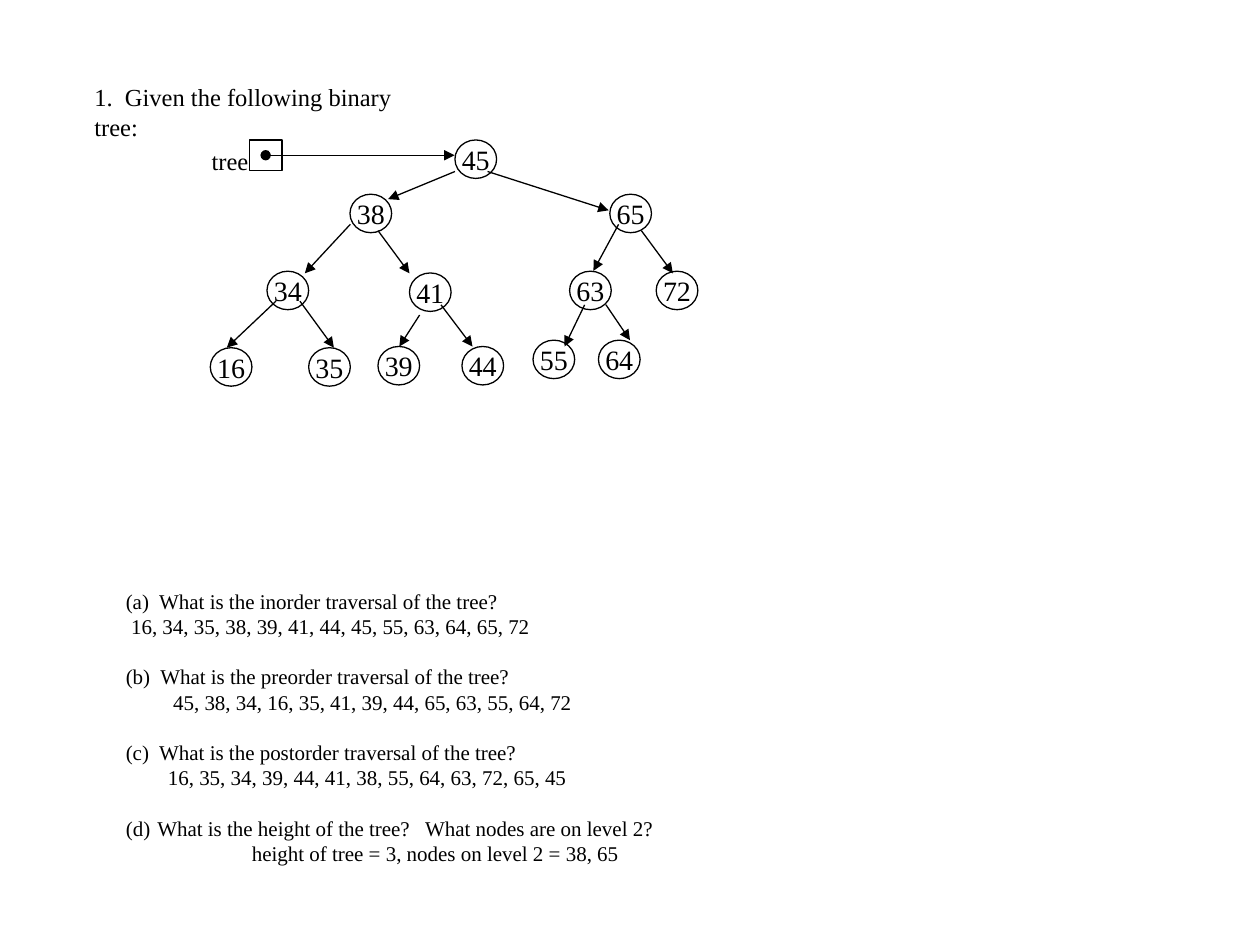
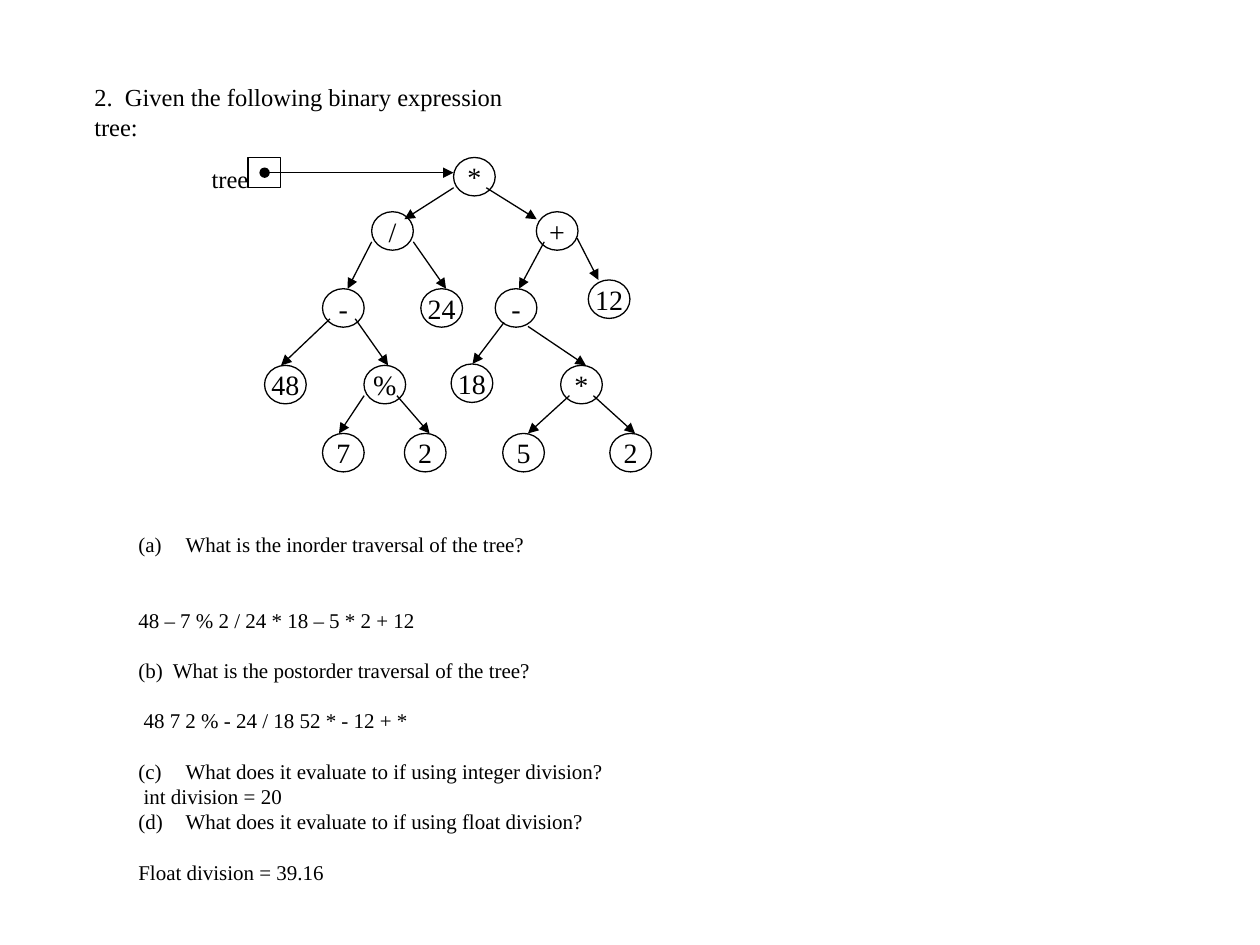
import pptx
import pptx.util
import pptx.dml.color
import pptx.enum.shapes
import pptx.enum.text
import pptx.oxml.ns
import lxml.etree

Pt = pptx.util.Pt
BLACK = pptx.dml.color.RGBColor(0x00, 0x00, 0x00)
WHITE = pptx.dml.color.RGBColor(0xFF, 0xFF, 0xFF)
FONT = "Times New Roman"
HEADING_SIZE, ANSWER_SIZE, NODE_SIZE = 14, 12, 16
HEADING_LEADING, ANSWER_LEADING = 17, 14.4
NODE_WIDTH, NODE_HEIGHT = 23.8, 22
LINE_WIDTH = 0.75


def add_xml(parent, tag, **attributes):
    return lxml.etree.SubElement(parent, pptx.oxml.ns.qn(tag), **attributes)


class TreeSheet:
    def __init__(self, deck):
        self.deck = deck
        self.slide = None

    def new_slide(self):
        self.slide = self.deck.slides.add_slide(self.deck.slide_layouts[6])
        self.slide.background.fill.solid()
        self.slide.background.fill.fore_color.rgb = WHITE

    def style(self, paragraph, size, leading=None):
        if leading:
            paragraph.line_spacing = Pt(leading)
        for run in paragraph.runs:
            run.font.name = FONT
            run.font.size = Pt(size)
            run.font.color.rgb = BLACK

    def frame(self, left, top, width, height, wrap=True):
        box = self.slide.shapes.add_textbox(Pt(left), Pt(top), Pt(width), Pt(height))
        box.text_frame.word_wrap = wrap
        return box.text_frame

    def label(self, text, left, top, width, wrap=True):
        frame = self.frame(left, top, width, 23.8, wrap)
        frame.text = text
        self.style(frame.paragraphs[0], HEADING_SIZE, HEADING_LEADING)

    def outline(self, kind, left, top, width, height):
        shape = self.slide.shapes.add_shape(kind, Pt(left), Pt(top), Pt(width), Pt(height))
        shape.shadow.inherit = False
        shape.fill.background()
        shape.line.color.rgb = BLACK
        shape.line.width = Pt(LINE_WIDTH)
        return shape

    def node(self, text, left, top):
        oval = pptx.enum.shapes.MSO_SHAPE.OVAL
        frame = self.outline(oval, left, top, NODE_WIDTH, NODE_HEIGHT).text_frame
        frame.word_wrap = False
        frame.vertical_anchor = pptx.enum.text.MSO_ANCHOR.MIDDLE
        frame.text = text
        frame.paragraphs[0].alignment = pptx.enum.text.PP_ALIGN.CENTER
        self.style(frame.paragraphs[0], NODE_SIZE)

    def arrow(self, x1, y1, x2, y2, dot=False):
        straight = pptx.enum.shapes.MSO_CONNECTOR.STRAIGHT
        edge = self.slide.shapes.add_connector(straight, Pt(x1), Pt(y1), Pt(x2), Pt(y2))
        edge.line.color.rgb = BLACK
        edge.line.width = Pt(LINE_WIDTH)
        line = edge.line._get_or_add_ln()
        if dot:
            add_xml(line, "a:headEnd", type="oval")
        add_xml(line, "a:tailEnd", type="triangle")
        add_xml(edge._element.spPr, "a:effectLst")

    def pointer(self, left, top):
        square = pptx.enum.shapes.MSO_SHAPE.RECTANGLE
        self.outline(square, left, top, 18.7, 17.3)
        self.label("tree", 113.8, top, 35.3, wrap=False)
        self.arrow(left + 9.4, top + 8.7, left + 117.4, top + 8.7, dot=True)

    def tree(self, pointer, nodes, edges):
        for node in nodes:
            self.node(*node)
        for edge in edges:
            self.arrow(*edge)
        self.pointer(*pointer)

    def answers(self, left, top, width, height, lines):
        frame = self.frame(left, top, width, height)
        for index, (text, gap_lines, indent, number) in enumerate(lines):
            paragraph = frame.paragraphs[0] if index == 0 else frame.add_paragraph()
            paragraph.text = text
            self.style(paragraph, ANSWER_SIZE, ANSWER_LEADING)
            paragraph.space_before = Pt(gap_lines * ANSWER_LEADING)
            properties = paragraph._p.get_or_add_pPr()
            properties.set("marL", str(Pt(indent)))
            if number:
                properties.set("indent", str(-Pt(indent)))
                add_xml(properties, "a:buFont", typeface=FONT)
                add_xml(properties, "a:buAutoNum", type="alphaLcParenBoth", startAt=str(number))


deck = pptx.Presentation()
deck.slide_width, deck.slide_height = Pt(720), Pt(540)
sheet = TreeSheet(deck)

sheet.new_slide()
sheet.label("1.  Given the following binary tree:", 46.8, 43.2, 212.4)
sheet.answers(64.8, 332.6, 381, 167, [
    ("(a)  What is the inorder traversal of the tree?", 0, 0, None),
    ("16, 34, 35, 38, 39, 41, 44, 45, 55, 63, 64, 65, 72", 0, 3, None),
    ("(b)  What is the preorder traversal of the tree?", 1, 0, None),
    ("45, 38, 34, 16, 35, 41, 39, 44, 65, 63, 55, 64, 72", 0, 27, None),
    ("(c)  What is the postorder traversal of the tree?", 1, 0, None),
    ("16, 35, 34, 39, 44, 41, 38, 55, 64, 63, 72, 65, 45", 0, 24, None),
    ("What is the height of the tree?   What nodes are on level 2?", 1, 18, 4),
    ("height of tree = 3, nodes on level 2 = 38, 65", 0, 72, None),
])
sheet.tree(
    pointer=(142.4, 80),
    nodes=[
        ("45", 260, 80),
        ("38", 200, 111), ("65", 348.5, 111),
        ("34", 152.6, 155), ("41", 234, 156), ("63", 325.5, 155), ("72", 375, 155),
        ("16", 120.2, 198.7), ("35", 176.4, 198.7), ("39", 216, 198), ("44", 264, 198),
        ("55", 304.6, 194.4), ("64", 342, 194.4),
    ],
    edges=[
        (260, 98, 221.8, 113.8), (278.6, 98, 347.8, 120.2),
        (200.2, 128.2, 174.2, 156.2), (216, 131.8, 234, 156.2),
        (353.5, 128.2, 339.1, 154.8), (366.5, 131.8, 384.5, 156.2),
        (157.7, 172.1, 129.6, 198.7), (171.4, 172.1, 190.8, 198.7),
        (239.8, 180, 228.2, 198), (252, 174.2, 270, 198),
        (334.1, 174.2, 322.6, 198), (346.3, 174.2, 360, 194.4),
    ],
)

sheet.new_slide()
sheet.label("2.  Given the following binary expression tree:", 46.8, 43.2, 275.8)
sheet.answers(72, 300.2, 283.7, 225.4, [
    ("What is the inorder traversal of the tree?", 0, 27, 1),
    ("48 – 7 % 2 / 24 * 18 – 5 * 2 + 12", 2, 0, None),
    ("(b)  What is the postorder traversal of the tree?", 1, 0, None),
    ("48 7 2 % - 24 / 18 52 * - 12 + *", 1, 3, None),
    ("What does it evaluate to if using integer division?", 1, 27, 3),
    ("int division = 20", 0, 3, None),
    ("What does it evaluate to if using float division?", 0, 27, 4),
    ("Float division = 39.16", 1, 0, None),
])
sheet.tree(
    pointer=(141.8, 90),
    nodes=[
        ("*", 259.2, 90),
        ("/", 212.4, 121), ("+", 306.5, 121),
        ("-", 184.3, 165), ("24", 240.5, 165), ("-", 283, 165), ("12", 336.2, 160),
        ("48", 151.2, 208.8), ("%", 208, 208.8), ("18", 257.8, 208), ("*", 320.4, 208.8),
        ("7", 184.3, 247.7), ("2", 231.1, 247.7), ("5", 287.3, 247.7), ("2", 348.5, 247.7),
    ],
    edges=[
        (259.2, 107.3, 231.1, 125.3), (277.9, 107.3, 306.7, 125.3),
        (212.4, 138.2, 198.7, 165), (236.2, 138.2, 254.9, 165),
        (311, 138.2, 296.6, 165), (329.8, 136.1, 342, 160),
        (188.6, 182.2, 160.6, 208.8), (203, 182.2, 221.8, 208.8),
        (288, 184.3, 270, 208), (301.7, 186.5, 334.8, 208.8),
        (208.1, 226.1, 193.7, 247.7), (226.8, 226.1, 245.5, 247.7),
        (325.4, 226.1, 301.7, 247.7), (339.1, 226.1, 362.9, 247.7),
    ],
)

deck.save("out.pptx")
